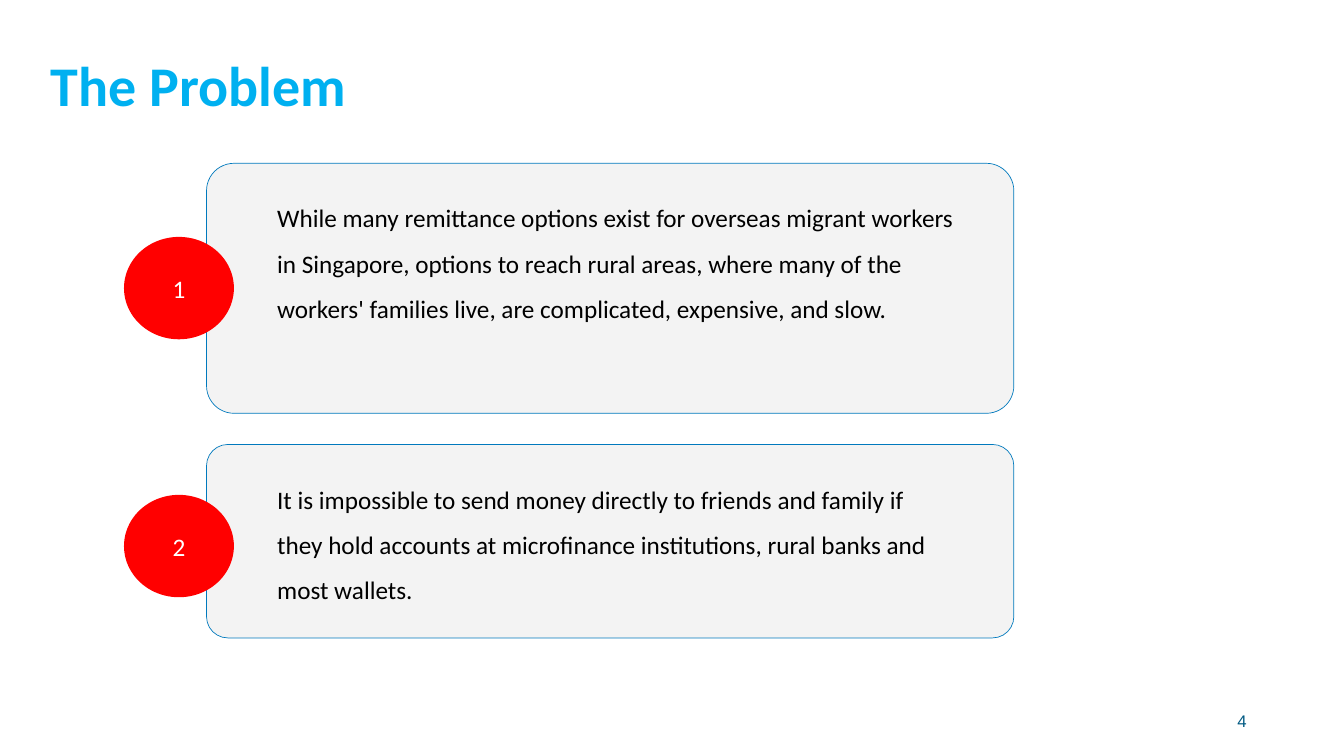
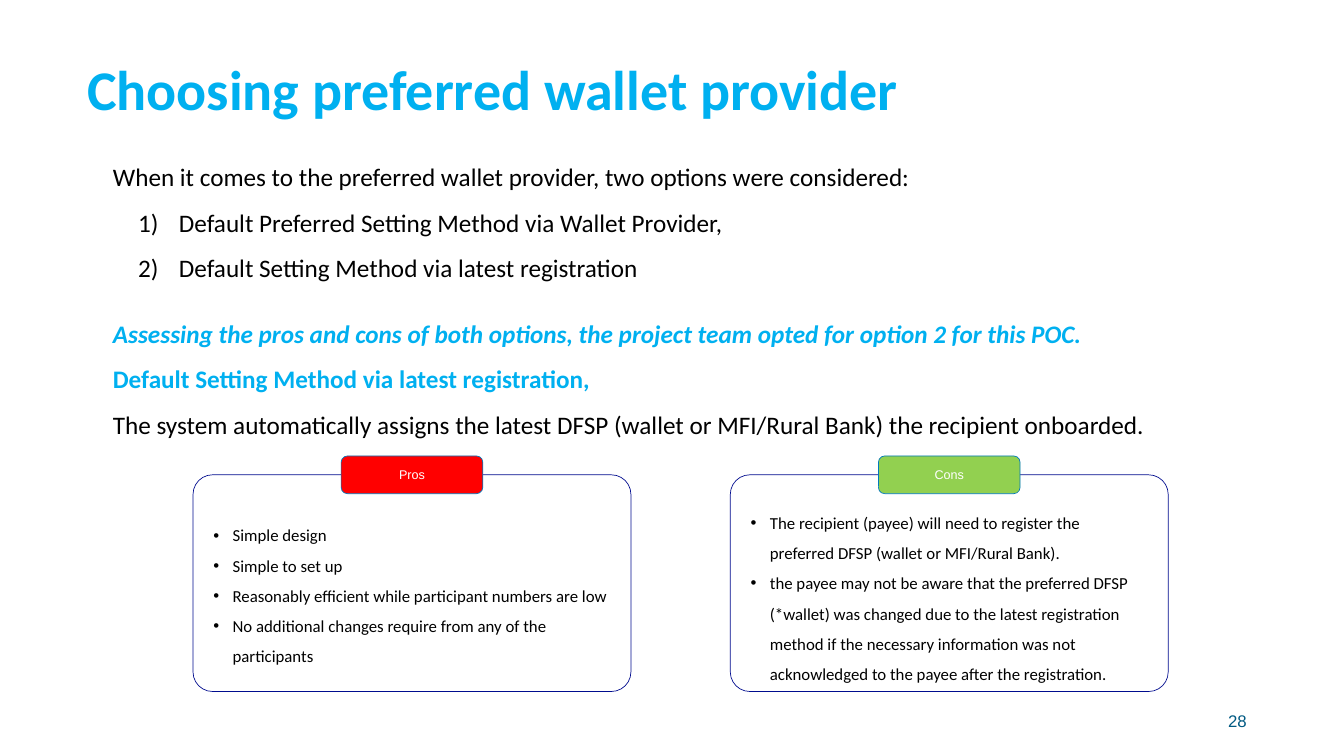
from lxml import etree
from pptx import Presentation
from pptx import util as u
from pptx.dml.color import RGBColor
from pptx.enum import shapes, text
from pptx.oxml.ns import qn

COLOURS = {
    "title": "00B0F0", "text": "000000", "white": "FFFFFF", "number": "005A83",
    "card": "F3F3F3", "edge": "0079BD", "frame": "000C8E",
    "red": "FF0000", "green": "92D050",
}
TITLE_ONLY, TWO_CONTENT = 5, 3
ROUNDED, OVAL = shapes.MSO_SHAPE.ROUNDED_RECTANGLE, shapes.MSO_SHAPE.OVAL
LEFT, CENTER, RIGHT = text.PP_ALIGN.LEFT, text.PP_ALIGN.CENTER, text.PP_ALIGN.RIGHT
TOP, MIDDLE = text.MSO_ANCHOR.TOP, text.MSO_ANCHOR.MIDDLE


def colour(name):
    return RGBColor.from_string(COLOURS[name])


def place(box, left, top, width, height):
    box.left, box.top = u.Cm(left), u.Cm(top)
    box.width, box.height = u.Cm(width), u.Cm(height)


def style_font(para, size, ink, name="Calibri", bold=False, italic=False):
    for span in para.runs:
        font = span.font
        font.name, font.size = name, u.Pt(size)
        font.bold, font.italic = bold, italic
        font.color.rgb = colour(ink)


def set_indent(para, margin, hanging=0, bullet=None):
    properties = para._p.get_or_add_pPr()
    properties.set("marL", str(u.Cm(margin)))
    properties.set("indent", str(u.Cm(-hanging)))
    if bullet == "number":
        etree.SubElement(properties, qn("a:buAutoNum"), type="arabicParenR")
    elif bullet:
        etree.SubElement(properties, qn("a:buFont"), typeface="Arial")
        etree.SubElement(properties, qn("a:buChar"), char=bullet)


def fill_text(box, lines, size, ink, font="Calibri", align=LEFT, anchor=TOP,
              spacing=1.0, bold=False):
    frame = box.text_frame
    frame.word_wrap = True
    frame.auto_size = text.MSO_AUTO_SIZE.NONE
    frame.vertical_anchor = anchor
    frame.text = "\n".join(lines)
    for para in frame.paragraphs:
        para.alignment = align
        para.line_spacing = spacing
        para.space_before = u.Pt(0)
        style_font(para, size, ink, font, bold)
    return frame.paragraphs


def add_text(page, area, lines, size, ink, **options):
    box = page.shapes.add_textbox(*map(u.Cm, area))
    return fill_text(box, lines, size, ink, **options)


def add_panel(page, kind, area, fill=None, line=None, corner=None):
    panel = page.shapes.add_shape(kind, *map(u.Cm, area))
    panel.shadow.inherit = False
    if corner is not None:
        panel.adjustments[0] = corner
    if fill:
        panel.fill.solid()
        panel.fill.fore_color.rgb = colour(fill)
    else:
        panel.fill.background()
    if line:
        panel.line.color.rgb = colour(line)
        panel.line.width = u.Pt(1)
    else:
        panel.line.fill.background()
    return panel


def add_page(deck, layout, title, title_area, number):
    page = deck.slides.add_slide(deck.slide_layouts[layout])
    place(page.shapes.title, *title_area)
    fill_text(page.shapes.title, [title], 80, "title", anchor=MIDDLE,
              spacing=0.9, bold=True)
    add_text(page, (47.85, 35.3, 15.24, 2.03), [number], 24, "number",
             font="Arial", align=RIGHT, anchor=MIDDLE)
    return page


def add_problem(page, number, top, height, badge_top, statement):
    add_panel(page, ROUNDED, (10.41, top, 40.69, height), "card", "edge", 0.11)
    paras = add_text(page, (13.16, top + 1.1, 35.18, 7.44), [statement],
                     36, "text", spacing=1.5)
    set_indent(paras[0], 0.56)
    badge = add_panel(page, OVAL, (6.25, badge_top, 5.54, 5.16), "red")
    fill_text(badge, [number], 36, "white", align=CENTER, anchor=MIDDLE)


def add_option_side(page, column, heading, fill, body, list_top, points):
    left, top, width, height = 9.73 + column * 27.08, 23.93, 22.07, 10.92
    tab_width, tab_height = 7.14, 1.9
    add_panel(page, ROUNDED, (left, top, width, height), line="frame", corner=0.09)
    tab = add_panel(page, ROUNDED, (left + (width - tab_width) / 2,
                                    top - tab_height / 2, tab_width, tab_height),
                    fill, "edge")
    fill_text(tab, [heading], 18, "white", font="Arial", align=CENTER, anchor=MIDDLE)
    place(body, left + 0.77, list_top, width - 1.54, top + height - list_top)
    for para in fill_text(body, points, 24, "text", spacing=1.5):
        set_indent(para, 0.97, 0.97, "•")


def build_problem(deck):
    page = add_page(deck, TITLE_ONLY, "The Problem", (2.31, 2.44, 34.24, 4.01), "4")
    add_problem(page, "1", 8.23, 12.6, 11.94,
                "While many remittance options exist for overseas migrant workers in "
                "Singapore, options to reach rural areas, where many of the workers' "
                "families live, are complicated, expensive, and slow.")
    add_problem(page, "2", 22.4, 9.75, 24.94,
                "It is impossible to send money directly to friends and family if they "
                "hold accounts at microfinance institutions, rural banks and most wallets.")


def build_wallet_choice(deck):
    page = add_page(deck, TWO_CONTENT, "Choosing preferred wallet provider",
                    (4.14, 1.32, 52.43, 6.71), "28")
    options = add_text(page, (5.44, 7.26, 60.93, 6.93), [
        "When it comes to the preferred wallet provider, two options were considered:",
        "Default Preferred Setting Method via Wallet Provider,",
        "Default Setting Method via latest registration",
    ], 36, "text", spacing=1.5)
    for para in options[1:]:
        para.level = 1
        set_indent(para, 3.33, 2.06, "number")

    decision = add_text(page, (5.44, 15.16, 60.93, 6.93), [
        "Assessing the pros and cons of both options, the project team opted for "
        "option 2 for this POC.",
        "Default Setting Method via latest registration,",
        "The system automatically assigns the latest DFSP (wallet or MFI/Rural Bank) "
        "the recipient onboarded.",
    ], 36, "text", spacing=1.5)
    style_font(decision[0], 36, "title", bold=True, italic=True)
    style_font(decision[1], 36, "title", bold=True)

    add_option_side(page, 0, "Pros", "red", page.placeholders[1], 25.83, [
        "Simple design",
        "Simple to set up",
        "Reasonably efficient while participant numbers are low",
        "No additional changes require from any of the participants",
    ])
    add_option_side(page, 1, "Cons", "green", page.placeholders[2], 25.2, [
        "The recipient (payee) will need to register the preferred DFSP (wallet or "
        "MFI/Rural Bank).",
        "the payee may not be aware that the preferred DFSP (*wallet) was changed due "
        "to the latest registration method if the necessary information was not "
        "acknowledged to the payee after the registration.",
    ])


def main():
    deck = Presentation()
    deck.slide_width, deck.slide_height = u.Cm(67.74), u.Cm(38.1)
    build_problem(deck)
    build_wallet_choice(deck)
    deck.save("out.pptx")


if __name__ == "__main__":
    main()
